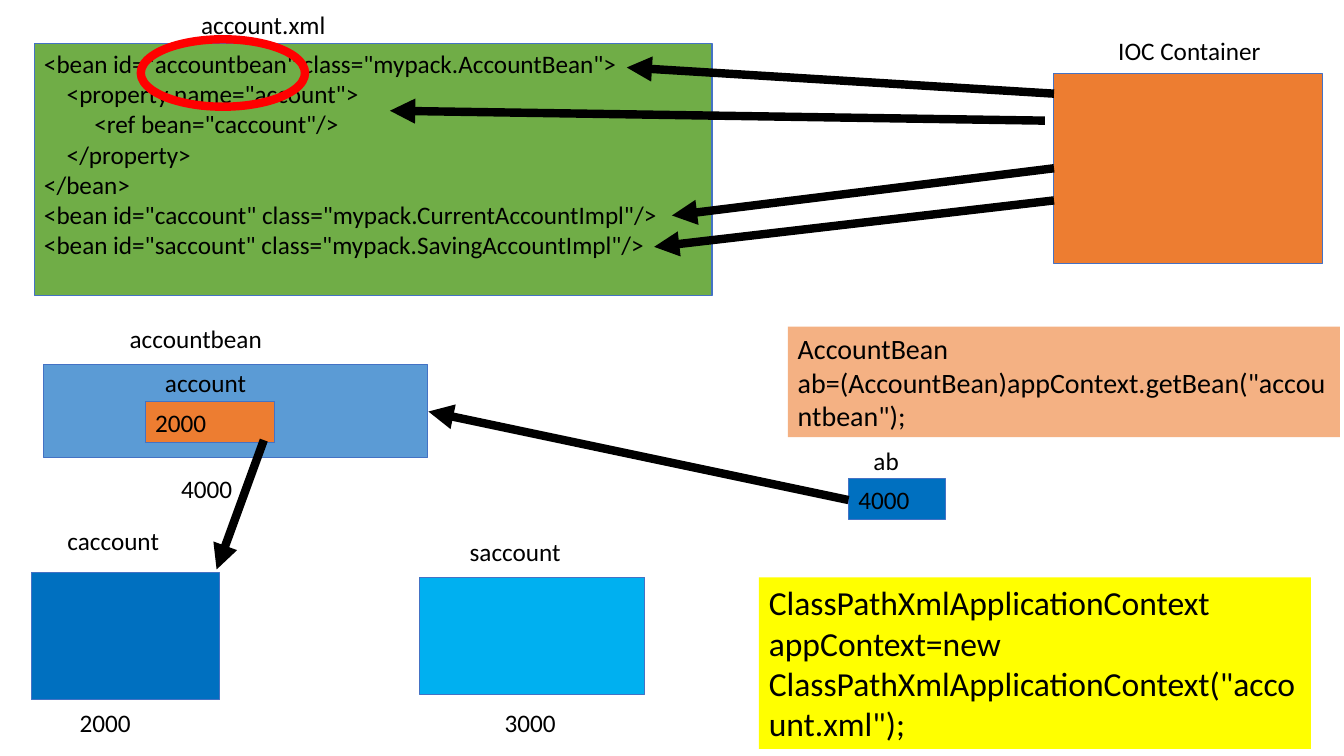
import pptx
import pptx.dml.color
import pptx.enum.shapes
import pptx.enum.text
import pptx.oxml.ns
import pptx.util
from lxml import etree

Cm = pptx.util.Cm
SHAPES = pptx.enum.shapes.MSO_SHAPE
FONT = {"name": "Calibri", "size": pptx.util.Pt(18)}
BLACK = "000000"
OUTLINE = "4472C4"
ORANGE = "ED7D31"
DEEP_BLUE = "0070C0"
ROW_HEIGHT = 1.02

BEAN_XML = """<bean id="accountbean" class="mypack.AccountBean">
    <property name="account">
\t<ref bean="caccount"/>
    </property>
</bean>
<bean id="caccount" class="mypack.CurrentAccountImpl"/>
<bean id="saccount" class="mypack.SavingAccountImpl"/>"""


def set_color(color_format, value):
    color_format.rgb = pptx.dml.color.RGBColor.from_string(value)


def write_text(shape, text, size=18):
    frame = shape.text_frame
    frame.word_wrap = True
    frame.vertical_anchor = pptx.enum.text.MSO_ANCHOR.TOP
    frame.text = text
    for paragraph in frame.paragraphs:
        paragraph.alignment = pptx.enum.text.PP_ALIGN.LEFT
        for name, value in {**FONT, "size": pptx.util.Pt(size)}.items():
            setattr(paragraph.font, name, value)
        set_color(paragraph.font.color, BLACK)


def add_label(slide, box, left, top, width, text):
    label = slide.shapes.add_textbox(
        Cm(box[0] + left), Cm(box[1] + top), Cm(width), Cm(ROW_HEIGHT))
    write_text(label, text)


def add_block(slide, box, fill, line=OUTLINE, line_width=0.75,
              text="", size=18, kind=SHAPES.RECTANGLE):
    shape = slide.shapes.add_shape(kind, *map(Cm, box))
    shape.shadow.inherit = False
    if fill:
        shape.fill.solid()
        set_color(shape.fill.fore_color, fill)
    else:
        shape.fill.background()
    if line:
        set_color(shape.line.color, line)
        shape.line.width = pptx.util.Pt(line_width)
    else:
        shape.line.fill.background()
    if text:
        write_text(shape, text, size)


def add_arrow(slide, box, start, end):
    points = [Cm(box[axis] + point[axis]) for point in (start, end) for axis in (0, 1)]
    arrow = slide.shapes.add_connector(pptx.enum.shapes.MSO_CONNECTOR.STRAIGHT, *points)
    set_color(arrow.line.color, BLACK)
    arrow.line.width = pptx.util.Pt(6)
    qualified = pptx.oxml.ns.qn
    etree.SubElement(arrow.line._get_or_add_ln(), qualified("a:tailEnd"), type="triangle")
    etree.SubElement(arrow._element.spPr, qualified("a:effectLst"))


def draw_xml_file(slide, box):
    left, top = box[:2]
    add_block(slide, box, "70AD47", text=BEAN_XML)
    add_label(slide, box, 3.96, -0.99, 3.78, "account.xml")
    add_block(slide, (left + 2.69, top - 0.1, 4.14, 1.7), None,
              line="FF0000", line_width=6, kind=SHAPES.OVAL)


def draw_container(slide, box):
    add_block(slide, box, ORANGE)
    add_label(slide, box, 1.37, -1.09, 4.5, "IOC Container")
    for start, end in (
        ((0, 2.39), (-9.63, 3.58)),
        ((0, 3.2), (-10.08, 4.37)),
        ((0, 0.51), (-10.77, -0.15)),
        ((-0.23, 1.19), (-16.74, 0.94)),
    ):
        add_arrow(slide, box, start, end)


def draw_account_bean(slide, box):
    left, top = box[:2]
    add_block(slide, box, "5B9BD5")
    add_label(slide, box, 1.93, -1.17, 4.85, "accountbean")
    add_block(slide, (left + 2.57, top + 0.94, 3.25, ROW_HEIGHT), ORANGE, text="2000")
    add_label(slide, box, 2.82, -0.05, 2.8, "account")
    add_label(slide, box, 3.23, 2.62, 1.93, "4000")
    add_arrow(slide, box, (5.56, 1.9), (4.37, 5.16))


def draw_account(slide, box, fill, name, name_offset, address, address_offset):
    add_block(slide, box, fill)
    add_label(slide, box, *name_offset, 3.18, name)
    add_label(slide, box, *address_offset, 1.93, address)


def draw_reference(slide, box):
    add_block(slide, box, DEEP_BLUE, text="4000")
    add_label(slide, box, 0.38, -0.97, 1.25, "ab")
    add_arrow(slide, box, (0, 0.53), (-10.59, -1.7))


def draw_code_note(slide, box, fill, text, size):
    add_block(slide, box, fill, line=None, text=text, size=size)


def main():
    presentation = pptx.Presentation()
    presentation.slide_width = Cm(33.88)
    presentation.slide_height = Cm(19.05)
    slide = presentation.slides.add_slide(presentation.slide_layouts[6])
    draw_xml_file(slide, (0.86, 1.09, 17.09, 6.35))
    draw_container(slide, (26.57, 1.85, 6.76, 4.8))
    draw_account(slide, (0.79, 14.43, 4.75, 3.2), DEEP_BLUE,
                 "caccount", (0.66, -1.32), "2000", (0.97, 3.28))
    draw_account(slide, (10.57, 14.55, 5.69, 2.95), "00B0F0",
                 "saccount", (1.02, -1.17), "3000", (1.9, 3.15))
    draw_account_bean(slide, (1.09, 9.19, 9.7, 2.34))
    draw_code_note(slide, (19.86, 8.23, 13.92, 2.79), "F4B183",
                   'AccountBean ab=(AccountBean)appContext.getBean("accountbean");', 20)
    draw_code_note(slide, (19.13, 14.55, 13.92, 4.32), "FFFF00",
                   "ClassPathXmlApplicationContext appContext=new "
                   'ClassPathXmlApplicationContext("account.xml");', 24)
    draw_reference(slide, (21.39, 12.07, 2.44, ROW_HEIGHT))
    presentation.save("out.pptx")


if __name__ == "__main__":
    main()
